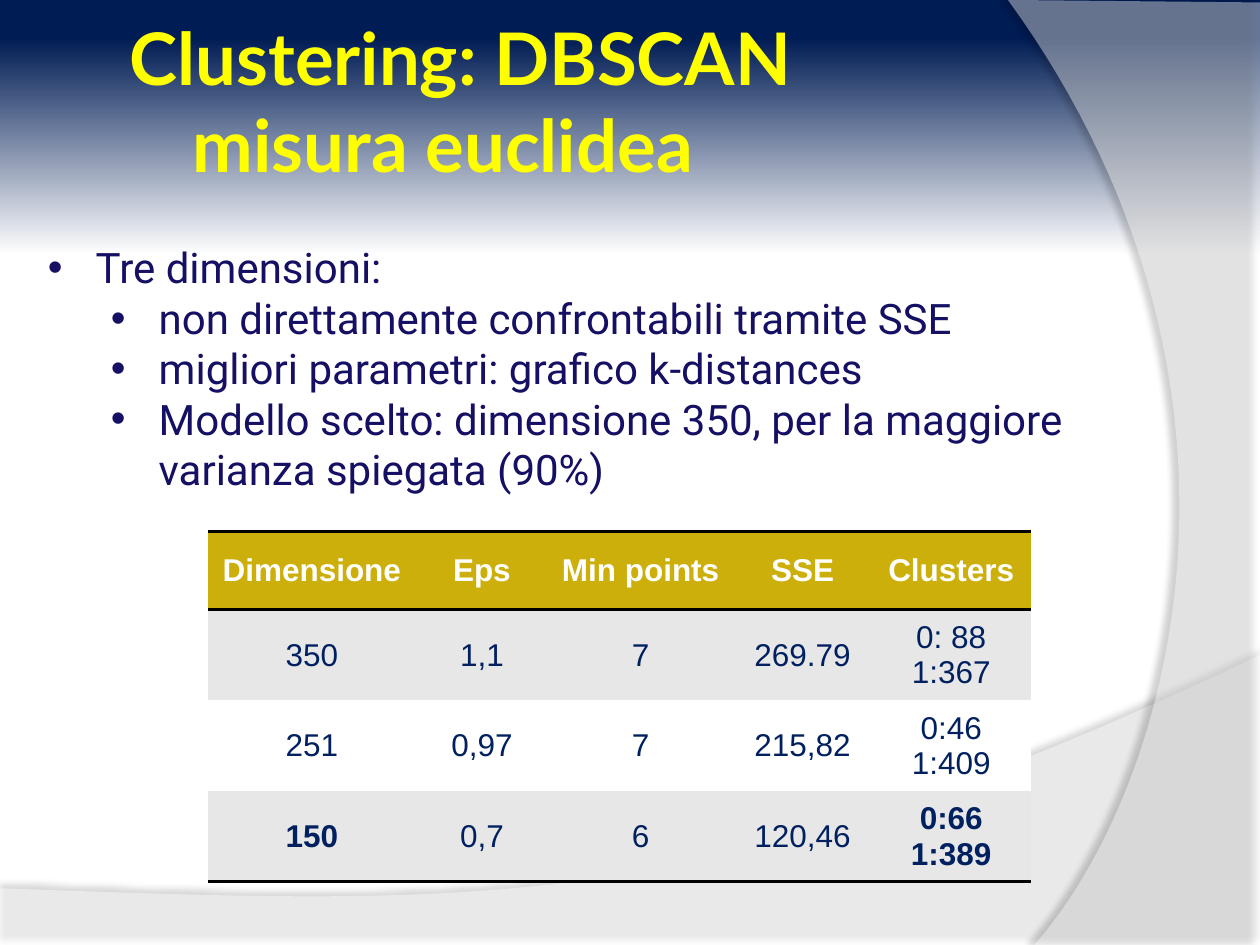
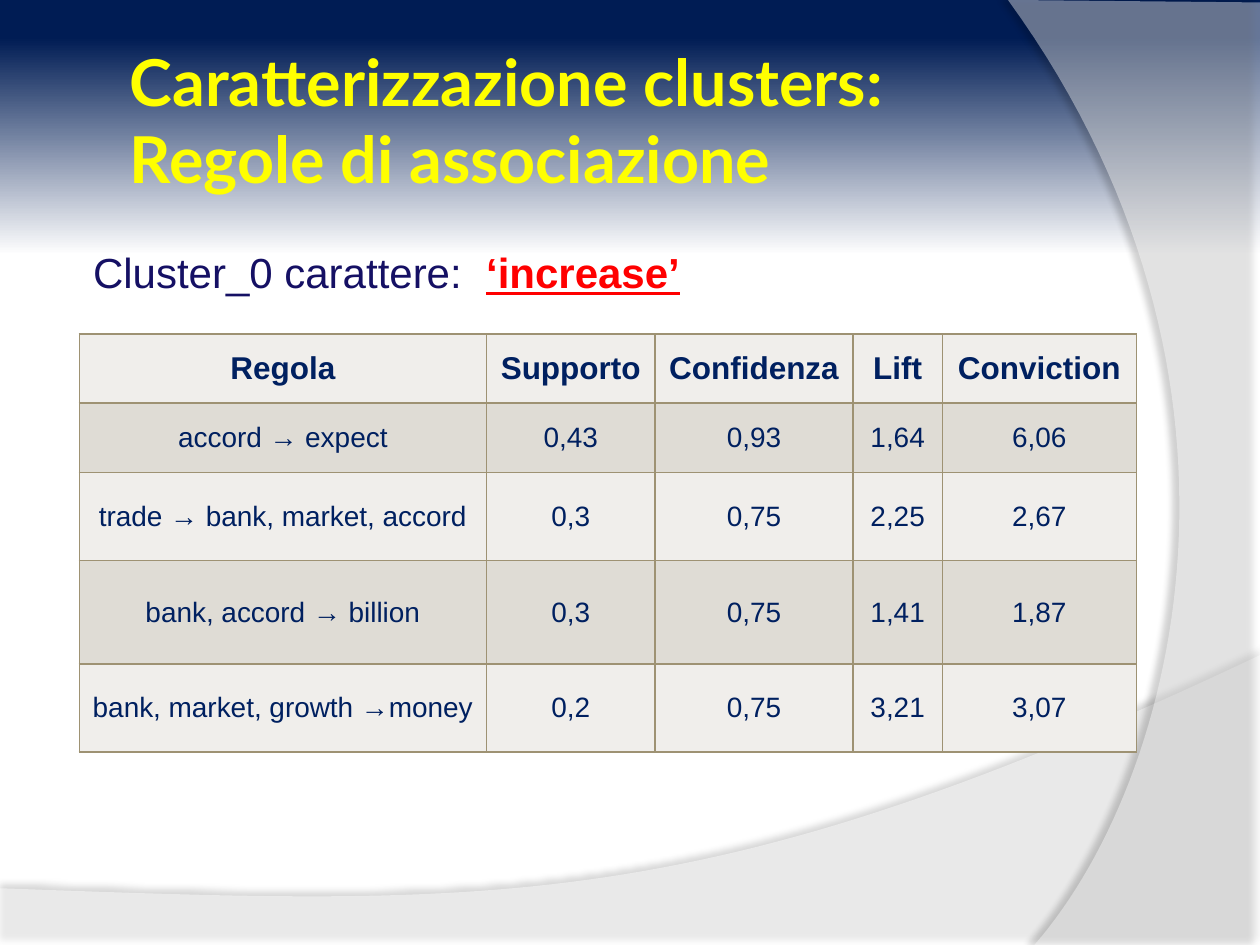
from copy import deepcopy

from pptx import Presentation
from pptx.dml.color import RGBColor as RGB
from pptx.enum.text import MSO_ANCHOR as ANCHOR, MSO_AUTO_SIZE as AUTO, PP_ALIGN as ALIGN
from pptx.oxml import parse_xml
from pptx.oxml.ns import nsdecls, qn
from pptx.util import Inches, Pt

COLORS = {
    "navy": "001C54", "white": "FFFFFF", "black": "000000", "title": "FFFF00",
    "body": "151064", "cell": "002060", "accent": "FF0000", "gold": "CCAF0A",
    "gray": "E7E7E7", "rule": "9E9273", "sand": "F0EEEB", "dark_sand": "DFDCD5",
}


def put(p, text, size=24, font="Arial", color="body", bold=False, underline=False, align=ALIGN.LEFT):
    """Append text to a paragraph; each newline becomes a line break of the same size."""
    p.alignment = align
    for i, line in enumerate(text.split("\n")):
        if i:
            p.add_line_break()
        r = p.add_run()
        r.text = line
        r.font.size, r.font.name = Pt(size), font
        r.font.bold, r.font.underline = bold, underline
        r.font.color.rgb = RGB.from_string(COLORS[color])
    for br in p._p.findall(qn("a:br")):
        br.append(deepcopy(r.font._element))


def set_border(cell, side, color, width):
    """Rule one side (L, R, T or B) of a cell, or clear it when color is None."""
    paint = f'<a:solidFill><a:srgbClr val="{COLORS[color]}"/></a:solidFill>' if color else "<a:noFill/>"
    cell._tc.get_or_add_tcPr().append(parse_xml(
        f'<a:ln{side} {nsdecls("a")} w="{Pt(width)}">{paint}</a:ln{side}>'))


prs = Presentation()
prs.slide_width, prs.slide_height = Inches(10), Inches(7.5)
master = prs.slide_master
dbscan = prs.slides.add_slide(prs.slide_layouts[1])
rules = prs.slides.add_slide(prs.slide_layouts[5])

# Shared background gradient
fill = master.background.fill
fill.gradient()
fill.gradient_angle = 270
for stop, position, color in zip(fill.gradient_stops, (0.04, 0.27), ("navy", "white")):
    stop.position = position
    stop.color.rgb = RGB.from_string(COLORS[color])

# Shared translucent waves: straight corners, then a Bezier curve from the last corner
WAVES = [
    dict(corners=[(0, 7.05), (0, 7.5), (10, 7.5), (10, 5.2)],
         curve=[(5.59, 7.29), (3.91, 7.19), (0, 7.05)],
         opacity=45, shade=35, distance=3.5, direction=270),
    dict(corners=[(10, 0.02), (10, 7.5), (8.21, 7.5)],
         curve=[(9.35, 6.19), (10.18, 3), (8, 0)],
         opacity=40, shade=45, distance=4, direction=180),
]
STEPS = 60
for i, wave in enumerate(WAVES):
    controls = [wave["corners"][-1]] + wave["curve"]
    points = list(wave["corners"])
    for step in range(1, STEPS + 1):
        t = step / STEPS
        weights = ((1 - t) ** 3, 3 * t * (1 - t) ** 2, 3 * t ** 2 * (1 - t), t ** 3)
        points.append(tuple(sum(w * c[axis] for w, c in zip(weights, controls)) for axis in (0, 1)))
    points = [(Inches(x), Inches(y)) for x, y in points]
    builder = dbscan.shapes.build_freeform(*points[0])
    builder.add_line_segments(points[1:], close=True)
    sp = builder.convert_to_shape()
    sp.fill.solid()
    sp.fill.fore_color.rgb = RGB.from_string(COLORS["white"])
    sp.line.fill.background()
    sp.shadow.inherit = False
    props = sp.element.spPr
    props.find(".//" + qn("a:srgbClr")).append(
        parse_xml(f'<a:alpha {nsdecls("a")} val="{wave["opacity"] * 1000}"/>'))
    props.find(qn("a:effectLst")).append(parse_xml(
        f'<a:outerShdw {nsdecls("a")} blurRad="{Pt(4)}" dist="{Pt(wave["distance"])}" '
        f'dir="{wave["direction"] * 60000}" algn="ctr" rotWithShape="0">'
        f'<a:srgbClr val="{COLORS["black"]}"><a:alpha val="{wave["shade"] * 1000}"/></a:srgbClr>'
        '</a:outerShdw>'))
    sp.element.find(".//" + qn("p:cNvPr")).set("id", str(20 + i))
    master.shapes.element.insert(2 + i, sp.element)

# Titles
TITLES = [
    (dbscan, "Clustering: DBSCAN \n\tmisura euclidea", 0.29, 6.87, 41.4),
    (rules, "Caratterizzazione clusters:\nRegole di associazione", 0.44, 7.4, 36.9),
]
for slide, text, top, width, size in TITLES:
    title = slide.shapes.title
    title.left, title.top, title.width, title.height = map(Inches, (0.98, top, width, 1.01))
    tf = title.text_frame
    tf.auto_size, tf.vertical_anchor, tf.word_wrap = AUTO.NONE, ANCHOR.MIDDLE, True
    tf.margin_left = tf.margin_right = tf.margin_top = tf.margin_bottom = Inches(0.05)
    put(tf.paragraphs[0], text, size=size, font="Lato", color="title", bold=True)

# Bullet list
BULLETS = [
    (0, "Tre dimensioni:"),
    (1, "non direttamente confrontabili tramite SSE"),
    (1, "migliori parametri: grafico k-distances"),
    (1, "Modello scelto: dimensione 350, per la maggiore varianza spiegata (90%)"),
]
body = dbscan.placeholders[1]
body.left, body.top, body.width, body.height = map(Inches, (0.28, 1.87, 9.29, 2.12))
tf = body.text_frame
tf.auto_size, tf.word_wrap = AUTO.NONE, True
for i, (level, text) in enumerate(BULLETS):
    p = tf.add_paragraph() if i else tf.paragraphs[0]
    p.level, p.space_before = level, Pt(0)
    put(p, text, font="Roboto")
    pPr = p._p.get_or_add_pPr()
    pPr.set("marL", str(Inches(0.38 + 0.5 * level)))
    pPr.set("indent", str(Inches(-0.38)))
    pPr.append(parse_xml(f'<a:buFont {nsdecls("a")} typeface="Arial"/>'))
    pPr.append(parse_xml(f'<a:buChar {nsdecls("a")} char="•"/>'))

# Cluster caption, its keyword set off by a tab stop
caption = rules.shapes.add_textbox(Inches(0.64), Inches(1.91), Inches(5), Inches(0.5))
tf = caption.text_frame
tf.word_wrap = True
p = tf.paragraphs[0]
put(p, "Cluster_0 carattere:\t")
put(p, "‘increase’", color="accent", bold=True, underline=True)
p._p.get_or_add_pPr().append(parse_xml(
    f'<a:tabLst {nsdecls("a")}><a:tab pos="{Inches(3.12)}" algn="l"/></a:tabLst>'))

# Tables: "ruled" lists the horizontal edges that carry a line
TABLES = [
    dict(slide=dbscan, left=1.65, top=4.22, cols=[1.65, 1.05, 1.47, 1.1, 1.26],
         heights=[0.62, 0.72, 0.72, 0.72], fills=["gold", "gray", "white", "gray"],
         header="white", size=18, bold={(3, 0), (3, 4)},
         rule="black", width=2, ruled={0, 1, 4}, vertical=False,
         rows=[["Dimensione", "Eps", "Min points", "SSE", "Clusters"],
               ["350", "1,1", "7", "269.79", "0: 88\n1:367"],
               ["251", "0,97", "7", "215,82", "0:46\n1:409"],
               ["150", "0,7", "6", "120,46", "0:66\n1:389"]]),
    dict(slide=rules, left=0.63, top=2.65, cols=[3.23, 1.34, 1.57, 0.71, 1.54],
         heights=[0.55, 0.55, 0.7, 0.82, 0.7],
         fills=["sand", "dark_sand", "sand", "dark_sand", "sand"],
         header="cell", size=16, bold=set(),
         rule="rule", width=1, ruled=set(range(6)), vertical=True,
         rows=[["Regola", "Supporto", "Confidenza", "Lift", "Conviction"],
               ["accord → expect", "0,43", "0,93", "1,64", "6,06"],
               ["trade → bank, market, accord", "0,3", "0,75", "2,25", "2,67"],
               ["bank, accord → billion", "0,3", "0,75", "1,41", "1,87"],
               ["bank, market, growth →money", "0,2", "0,75", "3,21", "3,07"]]),
]
for spec_ in TABLES:
    rows, cols, heights = spec_["rows"], spec_["cols"], spec_["heights"]
    table = spec_["slide"].shapes.add_table(
        len(rows), len(cols), Inches(spec_["left"]), Inches(spec_["top"]),
        Inches(sum(cols)), Inches(sum(heights))).table
    table.first_row = table.horz_banding = False
    for column, width in zip(table.columns, cols):
        column.width = Inches(width)
    for r, texts in enumerate(rows):
        table.rows[r].height = Inches(heights[r])
        for c, text in enumerate(texts):
            cell = table.cell(r, c)
            cell.vertical_anchor = ANCHOR.MIDDLE
            sides = {"L": spec_["vertical"], "R": spec_["vertical"],
                     "T": r in spec_["ruled"], "B": r + 1 in spec_["ruled"]}
            for side, ruled in sides.items():
                set_border(cell, side, spec_["rule"] if ruled else None, spec_["width"])
            cell.fill.solid()
            cell.fill.fore_color.rgb = RGB.from_string(COLORS[spec_["fills"][r]])
            tf = cell.text_frame
            for i, line in enumerate(text.split("\n")):
                p = tf.add_paragraph() if i else tf.paragraphs[0]
                put(p, line, size=spec_["size"] if r else 18,
                    color="cell" if r else spec_["header"],
                    bold=r == 0 or (r, c) in spec_["bold"], align=ALIGN.CENTER)

prs.save("out.pptx")
